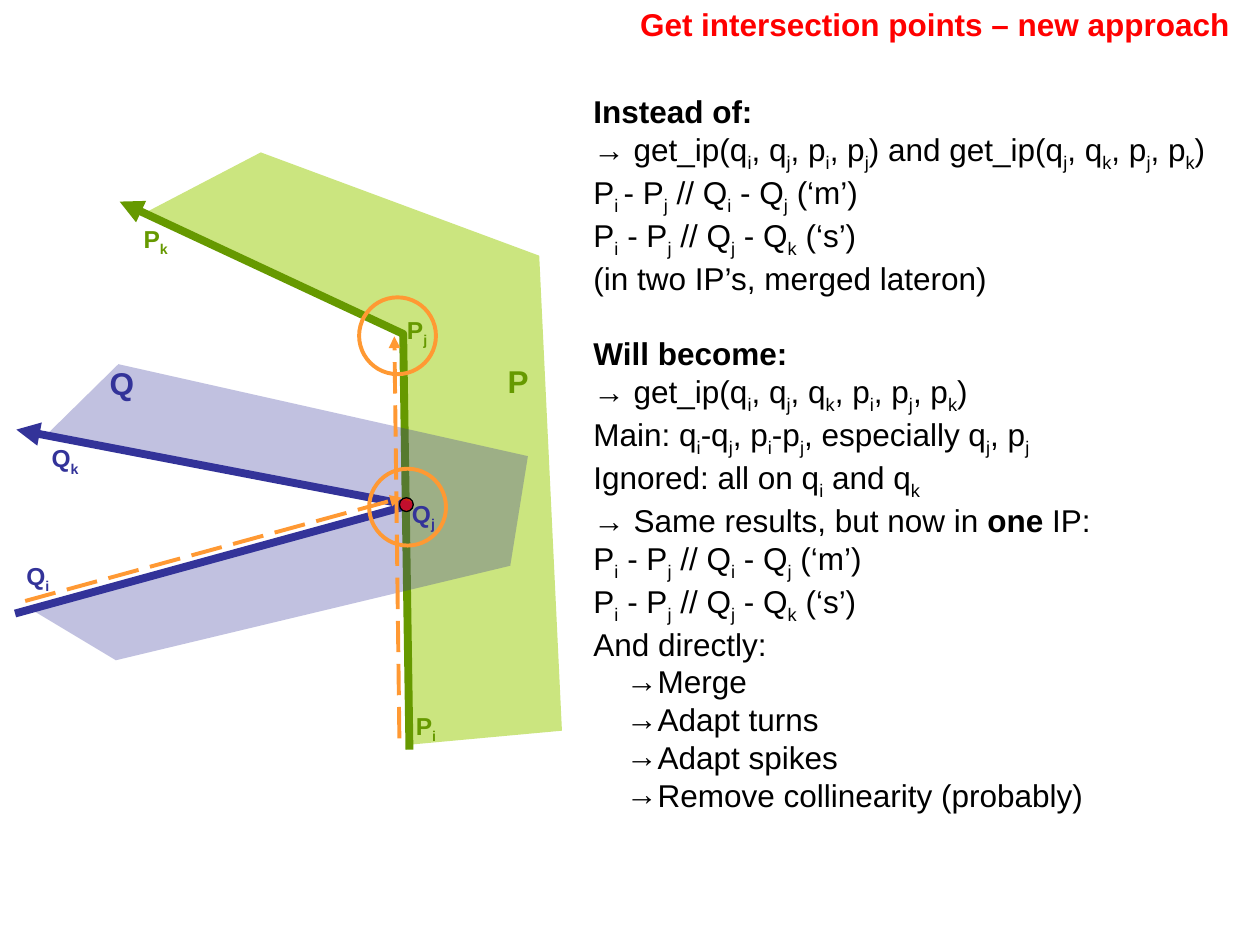
"""Build the slide on the new approach to intersection points."""
from dataclasses import dataclass
from typing import Optional

from lxml.etree import SubElement
from pptx import Presentation
from pptx.dml.color import RGBColor
from pptx.enum.dml import MSO_LINE
from pptx.enum.shapes import MSO_CONNECTOR, MSO_SHAPE
from pptx.enum.text import MSO_ANCHOR, MSO_AUTO_SIZE, PP_ALIGN
from pptx.oxml.ns import qn
from pptx.util import Inches, Pt

BLACK = RGBColor(0x00, 0x00, 0x00)
RED = RGBColor(0xFF, 0x00, 0x00)
LIME = RGBColor(0x99, 0xCC, 0x00)
GREEN = RGBColor(0x66, 0x99, 0x00)
INDIGO = RGBColor(0x33, 0x33, 0x99)
ORANGE = RGBColor(0xFF, 0x99, 0x33)
Point = tuple[float, float]


@dataclass
class Outline:
    points: list[Point]
    color: RGBColor
    opacity: int = 0
    arrow: str = "tailEnd"


@dataclass
class Label:
    text: str
    left: float
    top: float
    color: RGBColor
    size: int = 14
    width: float = 0.3
    height: float = 0.27


@dataclass
class Circle:
    left: float
    top: float
    size: float
    line: RGBColor
    weight: float
    fill: Optional[RGBColor] = None


@dataclass
class Line:
    text: str
    bold: bool = False
    bullet: bool = False
    before: float = 0


OUTLINES = [
    Outline([(3.26, 5.91), (4.46, 5.8), (4.28, 2.03), (2.07, 1.21),
             (1.15, 1.69), (3.19, 2.62)], LIME, 50),
    Outline([(0.95, 1.6), (3.2, 2.65), (3.25, 5.95)], GREEN, arrow="headEnd"),
    Outline([(0.12, 4.87), (3.25, 4.01), (0.13, 3.41)], INDIGO),
    Outline([(0.37, 3.45), (3.26, 3.99), (0.22, 4.82), (0.92, 5.24),
             (4.05, 4.49), (4.19, 3.62), (0.94, 2.89)], INDIGO, 30),
]
LABELS = [
    Label("P", 4.03, 2.87, GREEN, 18),
    Label("Q", 0.87, 2.89, INDIGO, 18),
    Label("Q|i", 0.21, 4.45, INDIGO),
    Label("Q|j", 3.27, 3.96, INDIGO),
    Label("Q|k", 0.41, 3.52, INDIGO),
    Label("P|i", 3.3, 5.64, GREEN),
    Label("P|j", 3.23, 2.5, GREEN),
    Label("P|k", 1.14, 1.78, GREEN),
]
CIRCLES = [
    Circle(3.17, 3.95, 0.11, BLACK, 0.74, RED),
    Circle(2.93, 3.72, 0.61, ORANGE, 2.24),
    Circle(2.85, 2.36, 0.61, ORANGE, 2.24),
]
DASHES = [((0.2, 4.77), (3.19, 3.95)), ((3.17, 5.86), (3.13, 2.67))]
LINES = [
    Line("Instead of:", bold=True),
    Line("→ get_ip(q|i|, q|j|, p|i|, p|j|) and get_ip(q|j|, q|k|, p|j|, p|k|)"),
    Line("P|i |- P|j| // Q|i| - Q|j| (‘m’)"),
    Line("P|i| - P|j| // Q|j| - Q|k| (‘s’)"),
    Line("(in two IP’s, merged lateron)"),
    Line("Will become:", bold=True, before=21.6),
    Line("→ get_ip(q|i|, q|j|, q|k|, p|i|, p|j|, p|k|)"),
    Line("Main: q|i|-q|j|, p|i|-p|j|, especially q|j|, p|j"),
    Line("Ignored: all on q|i| and q|k"),
    Line("→ Same results, but now in *one* IP:"),
    Line("P|i| - P|j| // Q|i| - Q|j| (‘m’)"),
    Line("P|i| - P|j| // Q|j| - Q|k| (‘s’)"),
    Line("And directly:"),
    Line("Merge", bullet=True),
    Line("Adapt turns", bullet=True),
    Line("Adapt spikes", bullet=True),
    Line("Remove collinearity (probably)", bullet=True),
]


def write(para, text: str, size: int, color: RGBColor, bold: bool = False) -> None:
    """Write text in which bars enclose subscripts and stars enclose bold."""
    para.alignment = PP_ALIGN.LEFT
    para.line_spacing = 1.0
    para.space_before = para.space_after = Pt(0)
    for index, piece in enumerate(text.split("|")):
        for turn, words in enumerate(piece.split("*")):
            if not words:
                continue
            span = para.add_run()
            span.text = words
            font = span.font
            font.name, font.size = "Arial", Pt(size)
            font.bold = bold or turn % 2 == 1
            font.color.rgb = color
            if index % 2:
                font._element.set("baseline", "-25000")


def place(box, left: float, top: float, width: float, height: float) -> None:
    """Move and size a box."""
    box.left, box.top = Inches(left), Inches(top)
    box.width, box.height = Inches(width), Inches(height)


def clear_margins(frame) -> None:
    """Remove the margins of a text frame and keep its size fixed."""
    frame.margin_left = frame.margin_right = Inches(0)
    frame.margin_top = frame.margin_bottom = Inches(0)
    frame.vertical_anchor = MSO_ANCHOR.TOP
    frame.word_wrap = True
    frame.auto_size = MSO_AUTO_SIZE.NONE


def add_arrowhead(line, end: str) -> None:
    """Put a triangle on one end of a line."""
    SubElement(line._get_or_add_ln(), qn(f"a:{end}"), type="triangle")


def fill_translucent(shape, color: RGBColor, opacity: int) -> None:
    """Fill a shape with a colour at a percentage of opacity."""
    shape.fill.solid()
    shape.fill.fore_color.rgb = color
    tint = shape.fill._xPr.find(qn("a:solidFill"))[0]
    SubElement(tint, qn("a:alpha"), val=str(opacity * 1000))


def draw_outline(page, outline: Outline) -> None:
    """Draw a translucent polygon or an open path with an arrowhead."""
    closed = outline.opacity > 0
    first, *rest = [(Inches(x), Inches(y)) for x, y in outline.points]
    builder = page.shapes.build_freeform(*first)
    builder.add_line_segments(rest, close=closed)
    shape = builder.convert_to_shape()
    shape.shadow.inherit = False
    if closed:
        fill_translucent(shape, outline.color, outline.opacity)
        shape.line.fill.background()
    else:
        shape.fill.background()
        shape.line.color.rgb = outline.color
        shape.line.width = Pt(4.51)
        add_arrowhead(shape.line, outline.arrow)


def draw_label(page, label: Label) -> None:
    """Draw a bold label."""
    box = page.shapes.add_textbox(Inches(label.left), Inches(label.top),
                                  Inches(label.width), Inches(label.height))
    clear_margins(box.text_frame)
    write(box.text_frame.paragraphs[0], label.text, label.size, label.color, True)


def draw_circle(page, circle: Circle) -> None:
    """Draw a ring, or a dot when it has a fill."""
    shape = page.shapes.add_shape(MSO_SHAPE.OVAL, Inches(circle.left), Inches(circle.top),
                                  Inches(circle.size), Inches(circle.size))
    shape.shadow.inherit = False
    shape.line.color.rgb = circle.line
    shape.line.width = Pt(circle.weight)
    if circle.fill is None:
        shape.fill.background()
    else:
        fill_translucent(shape, circle.fill, 70)


def draw_dash(page, start: Point, end: Point) -> None:
    """Draw a dashed arrow."""
    dash = page.shapes.add_connector(MSO_CONNECTOR.STRAIGHT,
                                     *(Inches(value) for value in start + end))
    dash.line.color.rgb = ORANGE
    dash.line.width = Pt(2.24)
    dash.line.dash_style = MSO_LINE.LONG_DASH
    add_arrowhead(dash.line, "tailEnd")
    SubElement(dash._element.spPr, qn("a:effectLst"))


def fill_body(body) -> None:
    """Write the explanation into the body placeholder."""
    place(body, 4.61, 0.68, 5.39, 6.13)
    frame = body.text_frame
    frame.auto_size = MSO_AUTO_SIZE.NONE
    frame.vertical_anchor = MSO_ANCHOR.TOP
    for index, line in enumerate(LINES):
        para = frame.add_paragraph() if index else frame.paragraphs[0]
        write(para, line.text, 18, BLACK, line.bold)
        para.space_before = Pt(line.before)
        para.level = int(line.bullet)
        props = para._p.get_or_add_pPr()
        props.set("marL", str(Inches(0.48 if line.bullet else 0)))
        props.set("indent", str(Inches(-0.22 if line.bullet else 0)))
        if line.bullet:
            SubElement(props, qn("a:buFont"), typeface="Arial")
            SubElement(props, qn("a:buChar"), char="→")
        else:
            SubElement(props, qn("a:buNone"))


def main() -> None:
    """Build and save the deck."""
    deck = Presentation()
    deck.slide_width, deck.slide_height = Inches(10), Inches(7.5)
    page = deck.slides.add_slide(deck.slide_layouts[1])
    title = page.shapes.title
    place(title, 5.08, 0.04, 4.85, 0.3)
    clear_margins(title.text_frame)
    write(title.text_frame.paragraphs[0], "Get intersection points – new approach", 18, RED, True)
    fill_body(page.placeholders[1])
    for draw, items in ((draw_outline, OUTLINES), (draw_label, LABELS), (draw_circle, CIRCLES)):
        for item in items:
            draw(page, item)
    for start, end in DASHES:
        draw_dash(page, start, end)
    deck.save("out.pptx")


main()
